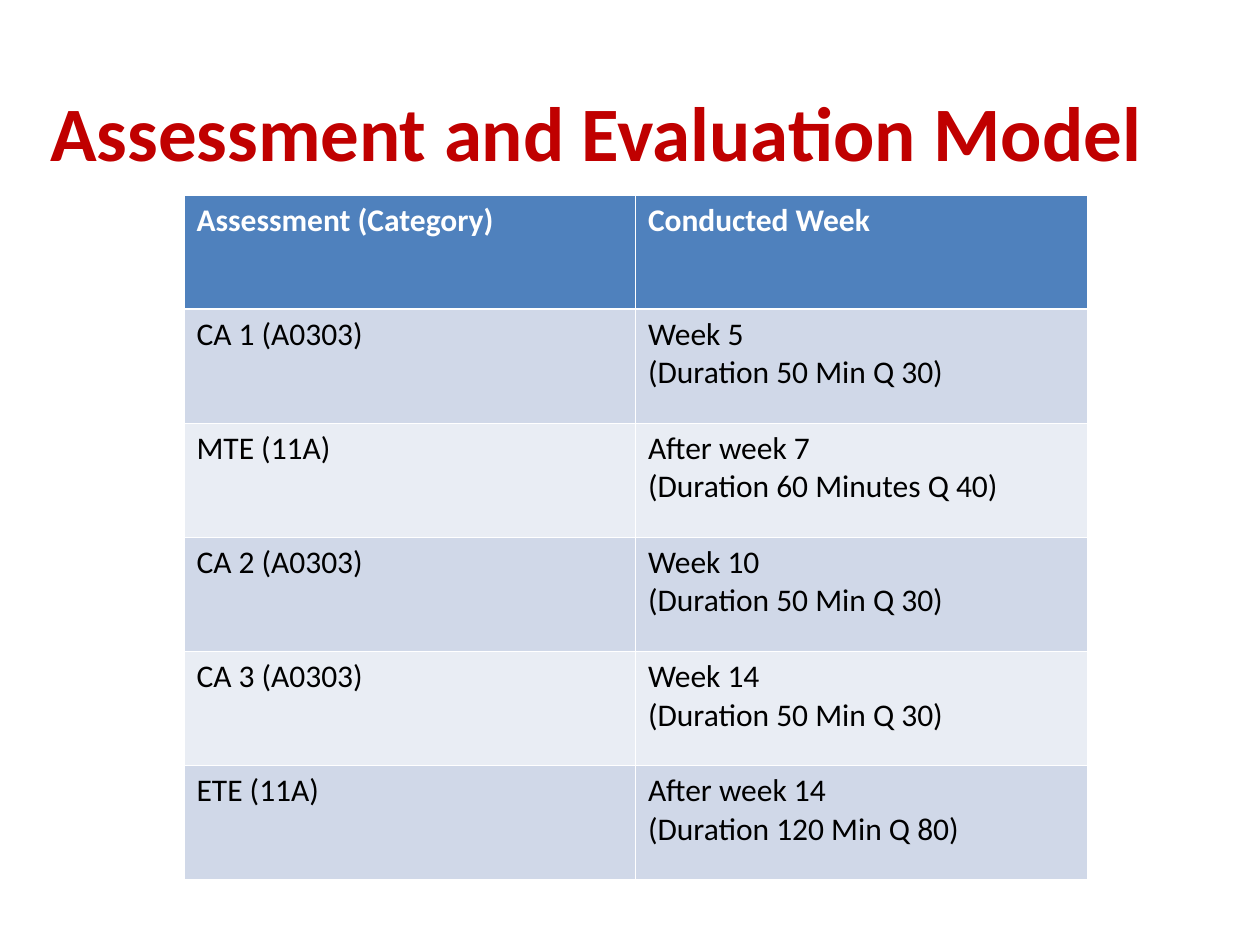
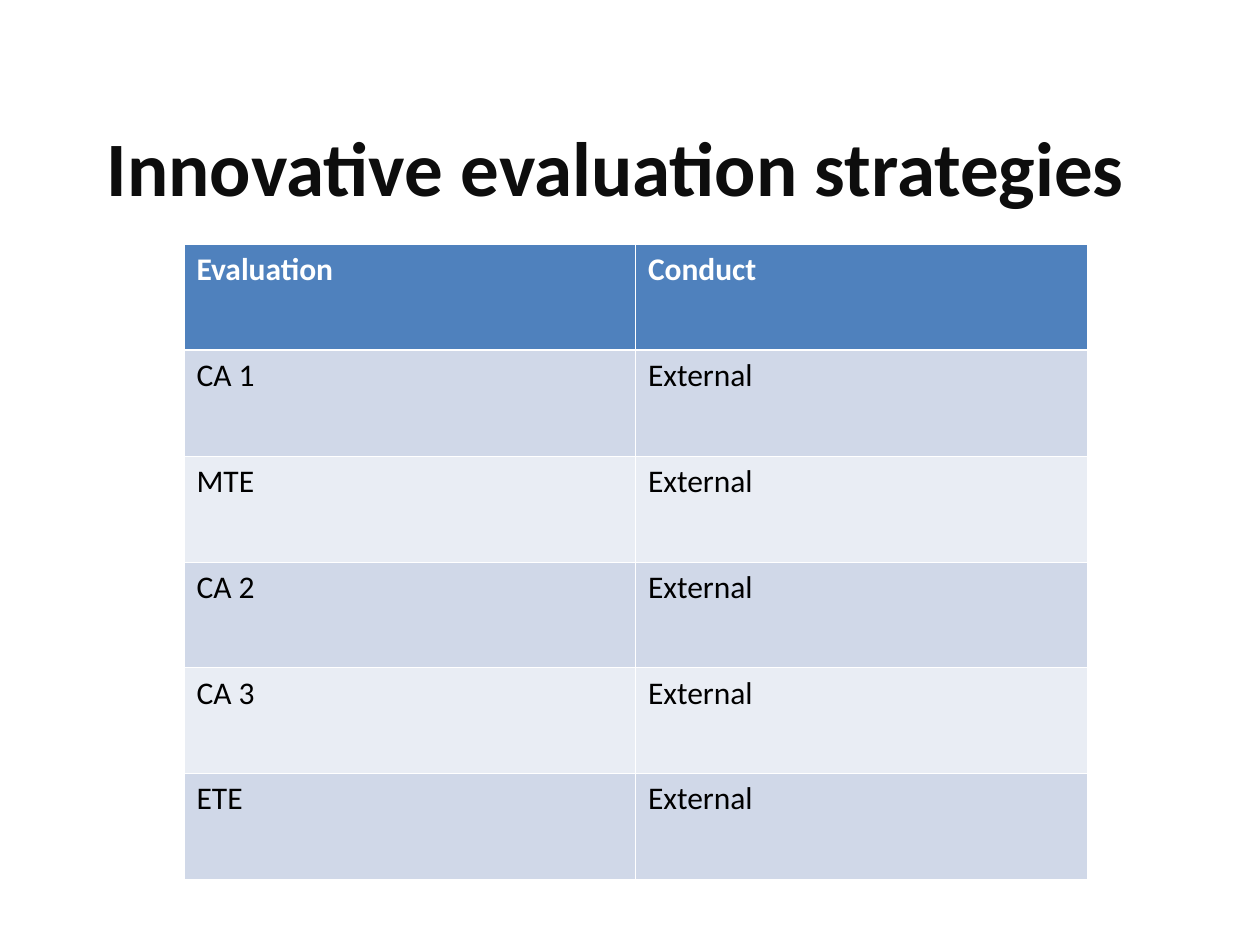
"""Build two slides on course assessment, each a title above a banded table."""
from lxml.etree import SubElement
from pptx import Presentation
from pptx.dml.color import RGBColor as RGB
from pptx.enum.text import MSO_ANCHOR as Anchor
from pptx.oxml.ns import qn
from pptx.util import Pt

COLORS = {
    "red": "C00000",
    "ink": "0D0D0D",
    "header": "4F81BD",
    "band_dark": "D0D8E8",
    "band_light": "E9EDF4",
    "white": "FFFFFF",
    "black": "000000",
}
FONT = "Calibri"
TABLE_LEFT, TABLE_BOTTOM, COLUMN_WIDTH = 105.1, 502.6, 258
THIN, THICK = 0.45, 1.47

SLIDES = [
    {
        "title": "Assessment and Evaluation Model",
        "title_color": "red",
        "title_at": (21.6, 44.2),
        "row_height": 65.2,
        "rows": [
            ("Assessment (Category)", "Conducted Week"),
            ("CA 1 (A0303)", "Week 5\n(Duration 50 Min Q 30)"),
            ("MTE (11A)", "After week 7\n(Duration 60 Minutes Q 40)"),
            ("CA 2 (A0303)", "Week 10\n(Duration 50 Min Q 30)"),
            ("CA 3 (A0303)", "Week 14\n(Duration 50 Min Q 30)"),
            ("ETE (11A)", "After week 14\n(Duration 120 Min Q 80)"),
        ],
    },
    {
        "title": "Innovative evaluation strategies",
        "title_color": "ink",
        "title_at": (54, 64.2),
        "row_height": 60.5,
        "rows": [("Evaluation", "Conduct")]
        + [(exam, "External") for exam in ("CA 1", "MTE", "CA 2", "CA 3", "ETE")],
    },
]


def write(frame, text, size, color, bold):
    for index, line in enumerate(text.split("\n")):
        paragraph = frame.add_paragraph() if index else frame.paragraphs[0]
        run = paragraph.add_run()
        run.text = line
        run.font.name = FONT
        run.font.size = Pt(size)
        run.font.bold = bold
        run.font.color.rgb = RGB.from_string(COLORS[color])


def add_borders(cell, top, bottom):
    properties = cell._tc.get_or_add_tcPr()
    widths = {"a:lnL": THIN, "a:lnR": THIN, "a:lnT": top, "a:lnB": bottom}
    for position, (side, width) in enumerate(widths.items()):
        line = SubElement(properties, qn(side), w=str(Pt(width)))
        fill = SubElement(line, qn("a:solidFill"))
        SubElement(fill, qn("a:srgbClr"), val=COLORS["white"])
        properties.insert(position, line)


deck = Presentation()
deck.slide_width, deck.slide_height = Pt(720), Pt(540)

for content in SLIDES:
    slide = deck.slides.add_slide(deck.slide_layouts[6])
    slide.background.fill.solid()
    slide.background.fill.fore_color.rgb = RGB.from_string(COLORS["white"])

    left, top = content["title_at"]
    title = slide.shapes.add_textbox(Pt(left), Pt(top), Pt(662), Pt(61)).text_frame
    title.word_wrap = True
    title.vertical_anchor = Anchor.MIDDLE
    write(title, content["title"], 44, content["title_color"], True)

    rows = content["rows"]
    height = content["row_height"] * len(rows)
    schedule = slide.shapes.add_table(
        len(rows), 2, Pt(TABLE_LEFT), Pt(TABLE_BOTTOM - height),
        Pt(2 * COLUMN_WIDTH), Pt(height)).table
    for column in schedule.columns:
        column.width = Pt(COLUMN_WIDTH)

    for row, texts in enumerate(rows):
        schedule.rows[row].height = Pt(content["row_height"])
        is_header = row == 0
        band = "header" if is_header else "band_dark" if row % 2 else "band_light"
        for column, text in enumerate(texts):
            cell = schedule.cell(row, column)
            cell.fill.solid()
            cell.fill.fore_color.rgb = RGB.from_string(COLORS[band])
            add_borders(cell, THICK if row == 1 else THIN, THICK if is_header else THIN)
            write(cell.text_frame, text, 18, "white" if is_header else "black", is_header)

deck.save("out.pptx")
